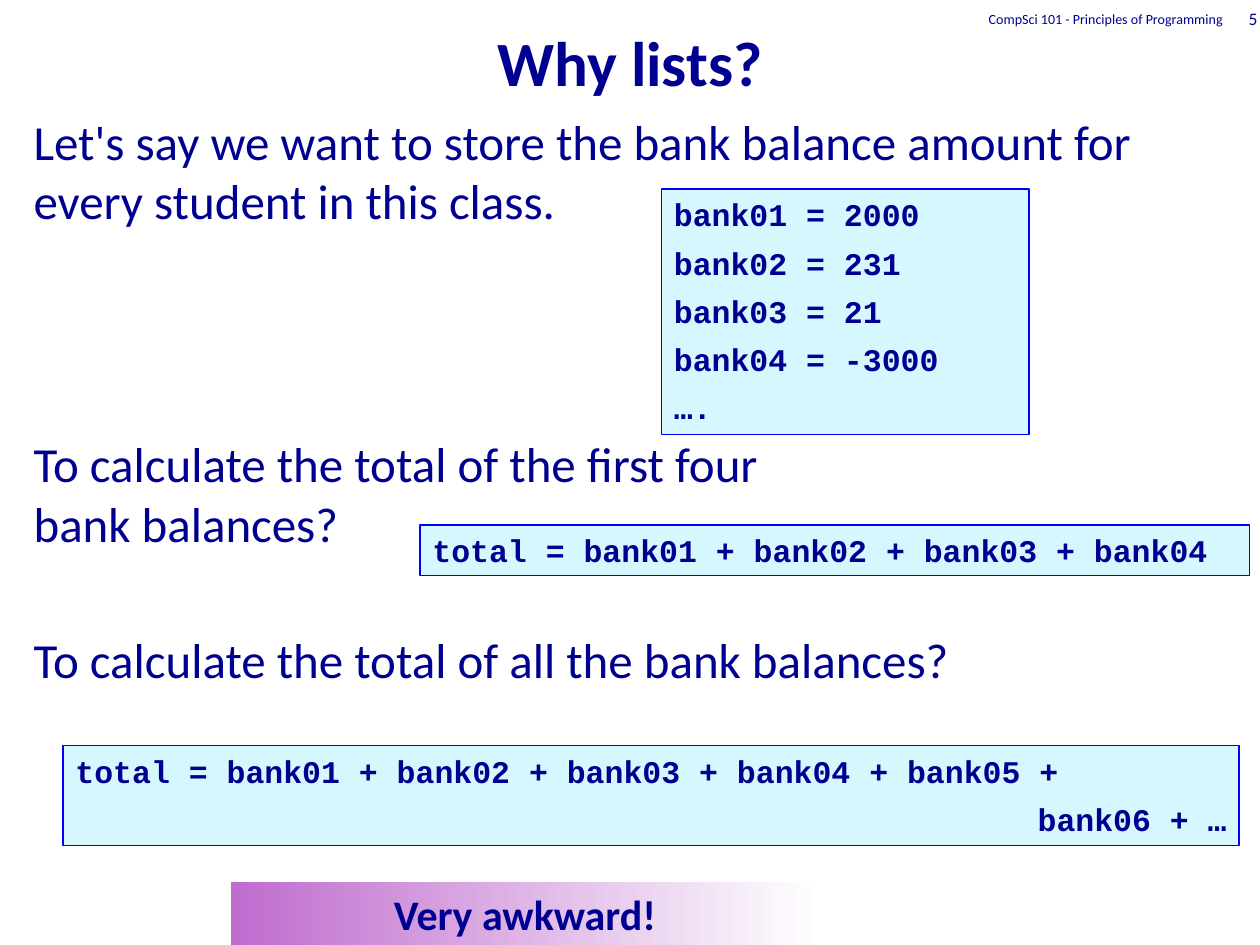
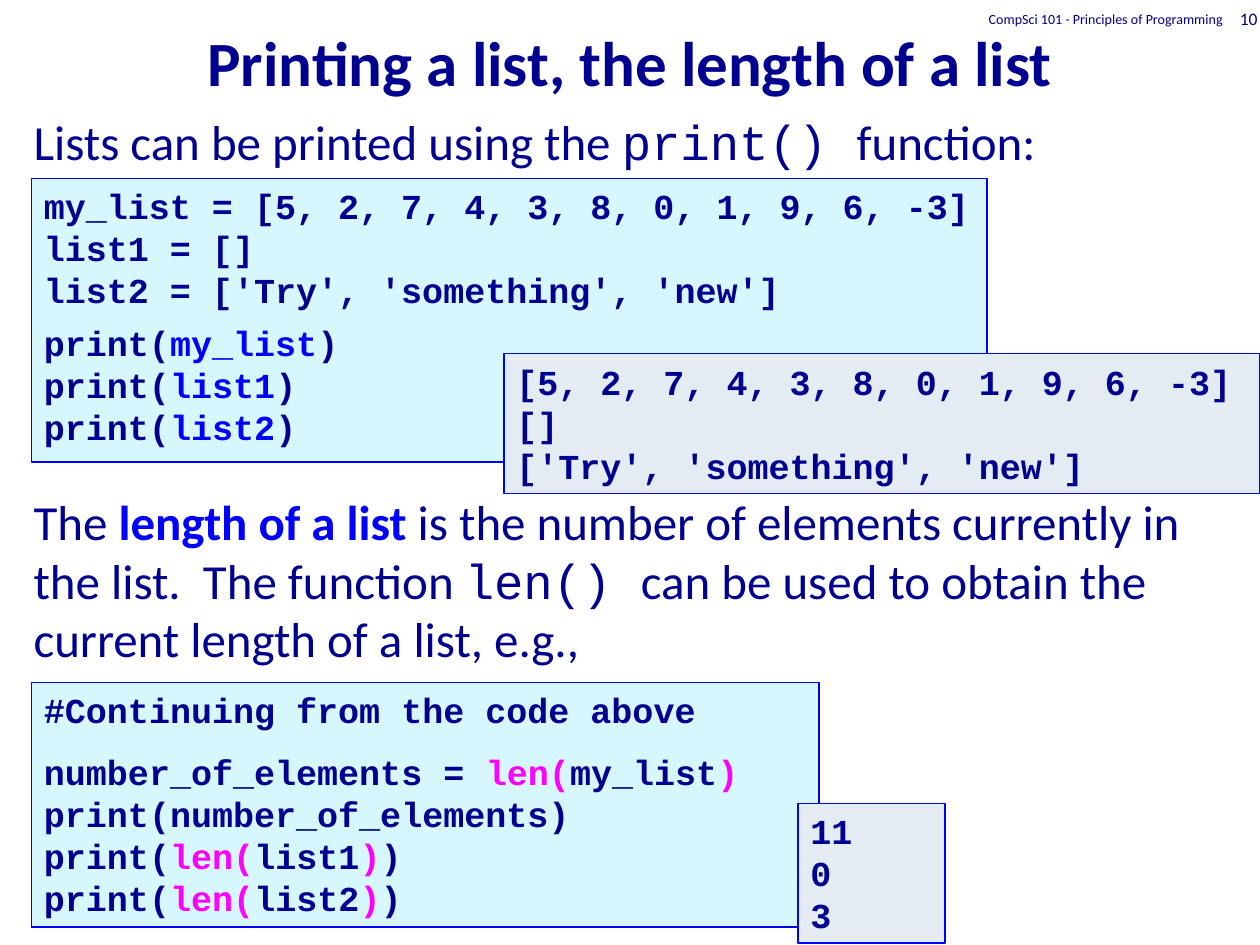
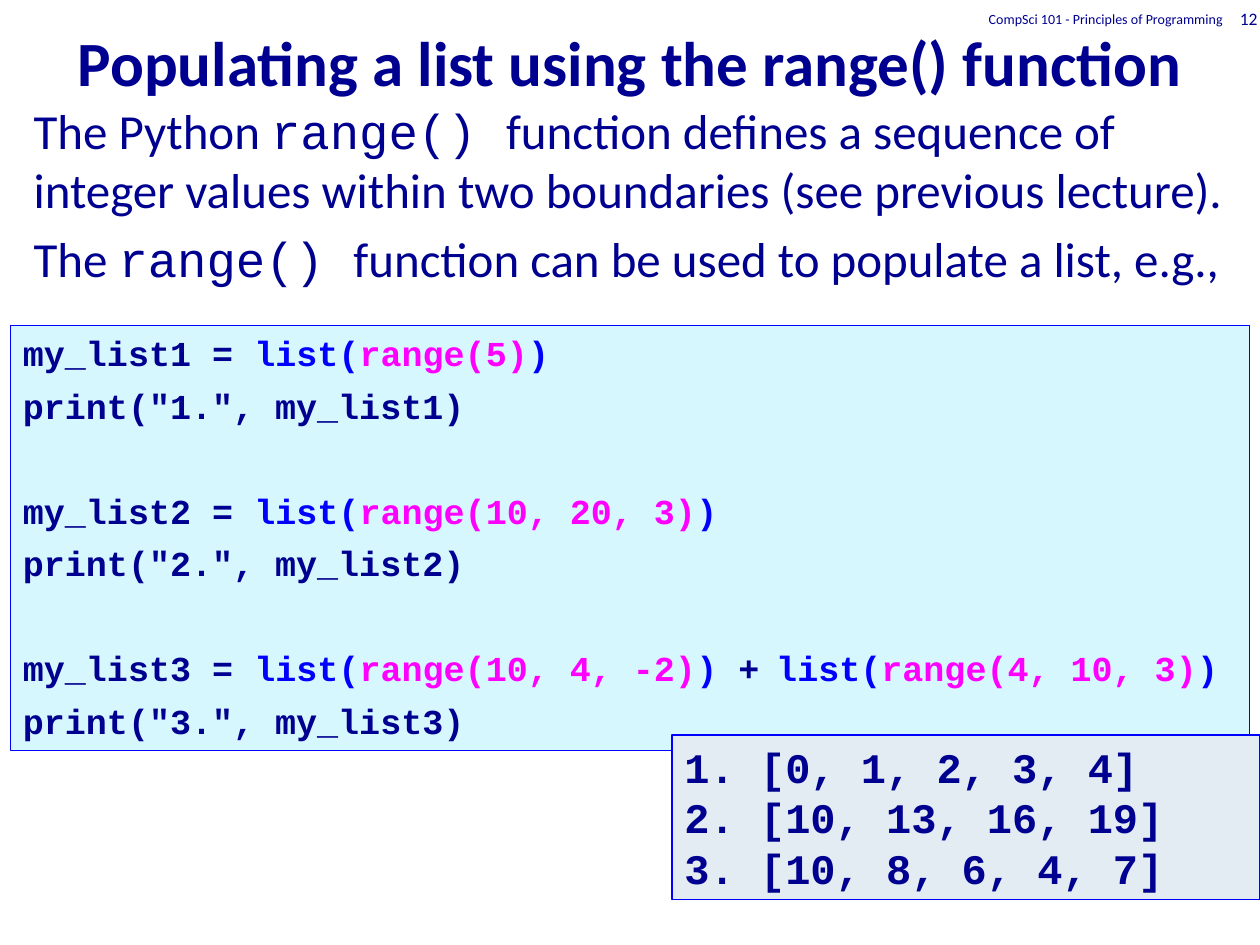
from lxml.etree import SubElement
from pptx import Presentation
from pptx.dml.color import RGBColor
from pptx.enum.shapes import MSO_SHAPE
from pptx.enum.text import MSO_ANCHOR, MSO_AUTO_SIZE, PP_ALIGN
from pptx.oxml.ns import qn
from pptx.util import Inches, Pt

NAVY = RGBColor(0x00, 0x00, 0x90)
BLUE = RGBColor(0x00, 0x00, 0xFF)
MAGENTA = RGBColor(0xFF, 0x00, 0xFF)
CODE_FILL = RGBColor(0xD7, 0xF7, 0xFF)
OUTPUT_FILL = RGBColor(0xE3, 0xEB, 0xF3)
ORCHID = RGBColor(0xBF, 0x6C, 0xCE)
WHITE = RGBColor(0xFF, 0xFF, 0xFF)

SANS, MONO = "Calibri", "Courier New"
COLUMNS, ROWS = 120, 90
COURSE = "CompSci 101 - Principles of Programming "

TITLE = {"name": SANS, "size": Pt(36), "bold": True, "color": NAVY}
BODY = {"name": SANS, "size": Pt(28), "bold": False, "color": NAVY}
CODE = {"name": MONO, "size": Pt(20), "bold": True, "color": NAVY}
ACCENTS = {
    "plain": {},
    "mono": {"name": MONO},
    "term": {"bold": True, "color": BLUE},
    "blue": {"color": BLUE},
    "magenta": {"color": MAGENTA},
    "small": {"size": Pt(16)},
}


class Deck:
    """Hold the lecture style and the current slide."""

    def __init__(self):
        self.presentation = Presentation()
        self.presentation.slide_width = Inches(10)
        self.presentation.slide_height = Inches(7.5)
        self.slide = None

    def area(self, left, top, width, height):
        """Turn grid columns and rows into lengths."""
        column = self.presentation.slide_width / COLUMNS
        row = self.presentation.slide_height / ROWS
        return [int(left * column), int(top * row), int(width * column), int(height * row)]

    def place(self, shape, *cells):
        """Move a placeholder to its grid cells."""
        for name, length in zip(("left", "top", "width", "height"), self.area(*cells)):
            setattr(shape, name, length)

    def add_text(self, shape, paragraphs, style, gap=0, align=PP_ALIGN.LEFT,
                 anchor=MSO_ANCHOR.TOP, bulletless=False):
        """Add paragraphs given as text, runs, or a dict with its own gap or align."""
        frame = shape.text_frame
        settings = {"word_wrap": True, "auto_size": MSO_AUTO_SIZE.NONE, "vertical_anchor": anchor}
        for name, value in settings.items():
            setattr(frame, name, value)
        for index, entry in enumerate(paragraphs):
            paragraph = frame.add_paragraph() if index else frame.paragraphs[0]
            details = entry if isinstance(entry, dict) else {"runs": entry}
            if bulletless:
                self.remove_bullet(paragraph)
            paragraph.alignment = details.get("align", align)
            paragraph.space_before = Pt(details.get("gap", gap) if index else 0)
            runs = details["runs"]
            for part in [runs] if isinstance(runs, str) else runs:
                text, accent = (part, "plain") if isinstance(part, str) else part
                self.add_run(paragraph, text, {**style, **ACCENTS[accent]})

    def remove_bullet(self, paragraph):
        """Remove the bullet and the hanging indent."""
        properties = paragraph._p.get_or_add_pPr()
        for name in ("marL", "indent"):
            properties.set(name, "0")
        SubElement(properties, qn("a:buNone"))

    def add_run(self, paragraph, text, style):
        """Add one formatted run."""
        run = paragraph.add_run()
        run.text = text
        for name, value in style.items():
            if name == "color":
                run.font.color.rgb = value
            else:
                setattr(run.font, name, value)

    def start_slide(self, title, number):
        """Start a slide with its title, course name and number."""
        self.slide = self.presentation.slides.add_slide(self.presentation.slide_layouts[1])
        heading = self.slide.shapes.title
        self.place(heading, 0, 0, COLUMNS, 10)
        self.add_text(heading, [title], TITLE, align=PP_ALIGN.CENTER, anchor=MSO_ANCHOR.BOTTOM)
        self.header(COURSE, 8, 82, 36, Inches(0.1))
        self.header(str(number), 10, 114, 6, Inches(0.02))

    def header(self, text, size, left, width, margin):
        """Add a right-aligned line at the top edge."""
        box = self.slide.shapes.add_textbox(*self.area(left, 0.75, width, 2))
        box.text_frame.margin_right = margin
        self.add_text(box, [text], {**BODY, "size": Pt(size)}, align=PP_ALIGN.RIGHT,
                      anchor=MSO_ANCHOR.MIDDLE)

    def body(self, paragraphs, *cells):
        """Fill the body placeholder."""
        shape = self.slide.placeholders[1]
        self.place(shape, *cells)
        self.add_text(shape, paragraphs, BODY, gap=5.5, bulletless=True)

    def rectangle(self, *cells):
        """Add a rectangle without a shadow."""
        shape = self.slide.shapes.add_shape(MSO_SHAPE.RECTANGLE, *self.area(*cells))
        shape.shadow.inherit = False
        return shape

    def panel(self, paragraphs, *cells, fill=CODE_FILL, size=20, gap=0):
        """Add a framed panel of code or output."""
        shape = self.rectangle(*cells)
        shape.fill.solid()
        shape.fill.fore_color.rgb = fill
        shape.line.color.rgb = BLUE
        shape.line.width = Pt(0.75)
        self.add_text(shape, paragraphs, {**CODE, "size": Pt(size)}, gap=gap)

    def output(self, paragraphs, *cells, size=20):
        """Add a panel of printed output."""
        self.panel(paragraphs, *cells, fill=OUTPUT_FILL, size=size)

    def verdict(self, text, *cells):
        """Add a fading band with a closing remark."""
        shape = self.rectangle(*cells)
        shape.fill.gradient()
        shape.fill.gradient_angle = 0
        for stop, color, position in zip(shape.fill.gradient_stops, (ORCHID, WHITE), (0, 1)):
            stop.color.rgb = color
            stop.position = position
        shape.line.fill.background()
        self.add_text(shape, [text], {**TITLE, "size": Pt(24)}, align=PP_ALIGN.CENTER)


def print_call(name):
    """Give a print line with a highlighted argument."""
    return ["print(", (name, "blue"), ")"]


def length_call(name):
    """Give a highlighted len call."""
    return [("len(", "magenta"), name, (")", "magenta")]


def range_list(arguments):
    """Give a highlighted list built from a range."""
    return [("list(", "blue"), (f"range({arguments})", "magenta"), (")", "blue")]


def why_lists(deck):
    """Build the slide that motivates lists."""
    deck.start_slide("Why lists?", 5)
    deck.body([
        "Let's say we want to store the bank balance amount for every student in this class.",
        {"runs": "To calculate the total of the first four", "gap": 117},
        {"runs": "bank balances?", "gap": 0.7},
        {"runs": "To calculate the total of all the bank balances?", "gap": 44},
    ], 2, 10, 118, 76)
    balances = (2000, 231, 21, -3000)
    names = [f"bank{index:02}" for index in range(1, 6)]
    assignments = [f"{name} = {balance}" for name, balance in zip(names, balances)]
    deck.panel(assignments + ["…."], 63, 18, 35, 23.4, size=18, gap=6)
    deck.panel(["total = " + " + ".join(names[:4])], 40, 50, 79, 4.8, size=18)
    deck.panel([
        "total = " + " + ".join(names) + " +",
        {"runs": "bank06 + …", "align": PP_ALIGN.RIGHT},
    ], 6, 71, 112, 9.5, size=18, gap=6)
    deck.verdict("Very awkward!", 22, 84, 56, 6)


def printing_lists(deck):
    """Build the slide on printing and length."""
    numbers = "[5, 2, 7, 4, 3, 8, 0, 1, 9, 6, -3]"
    words = "['Try', 'something', 'new']"
    deck.start_slide("Printing a list, the length of a list", 10)
    deck.body([
        ["Lists can be printed using the ", ("print() ", "mono"), "function:"],
        {"runs": [
            "The ", ("length of a list ", "term"),
            "is the number of elements currently in the list.  The function ",
            ("len() ", "mono"),
            "can be used to obtain the current length of a list, e.g.,",
        ], "gap": 183.5},
    ], 2, 10, 115, 72)
    deck.panel([
        f"my_list = {numbers}",
        "list1 = []",
        f"list2 = {words}",
        {"runs": print_call("my_list"), "gap": 6},
        print_call("list1"),
        print_call("list2"),
    ], 3, 17, 91, 27)
    deck.panel([
        "#Continuing from the code above",
        {"runs": ["number_of_elements = ", *length_call("my_list")], "gap": 11.5},
        "print(number_of_elements)",
        ["print(", *length_call("list1"), ")"],
        ["print(", *length_call("list2"), ")"],
    ], 3, 65, 75, 23.3)
    deck.output([numbers, "[]", words], 48, 33.7, 72, 13.3)
    deck.output(["11", "0", "3"], 76, 76.5, 14, 13.3)


def populating_lists(deck):
    """Build the slide on the range function."""
    deck.start_slide("Populating a list using the range() function", 12)
    deck.body([
        ["The Python ", ("range() ", "mono"),
         "function defines a sequence of integer values within two boundaries "
         "(see previous lecture)."],
        ["The ", ("range() ", "mono"), "function can be used to populate a list, e.g.,"],
    ], 2, 9, 118, 72)
    builders = [
        range_list("5"),
        range_list("10, 20, 3"),
        [*range_list("10, 4, -2"), " +", (" ", "small"), *range_list("4, 10, 3")],
    ]
    lines = []
    for number, builder in enumerate(builders, 1):
        lines.append({"runs": [f"my_list{number} = ", *builder], "gap": 36})
        lines.append(f'print("{number}.", my_list{number})')
    deck.panel(lines, 1, 31, 118, 40.5, gap=6)
    deck.output(["1. [0, 1, 2, 3, 4]", "2. [10, 13, 16, 19]", "3. [10, 8, 6, 4, 7]"],
                64, 70, 56, 15.7, size=24)


def main():
    """Build and save the slides."""
    deck = Deck()
    for build in (why_lists, printing_lists, populating_lists):
        build(deck)
    deck.presentation.save("out.pptx")


if __name__ == "__main__":
    main()
